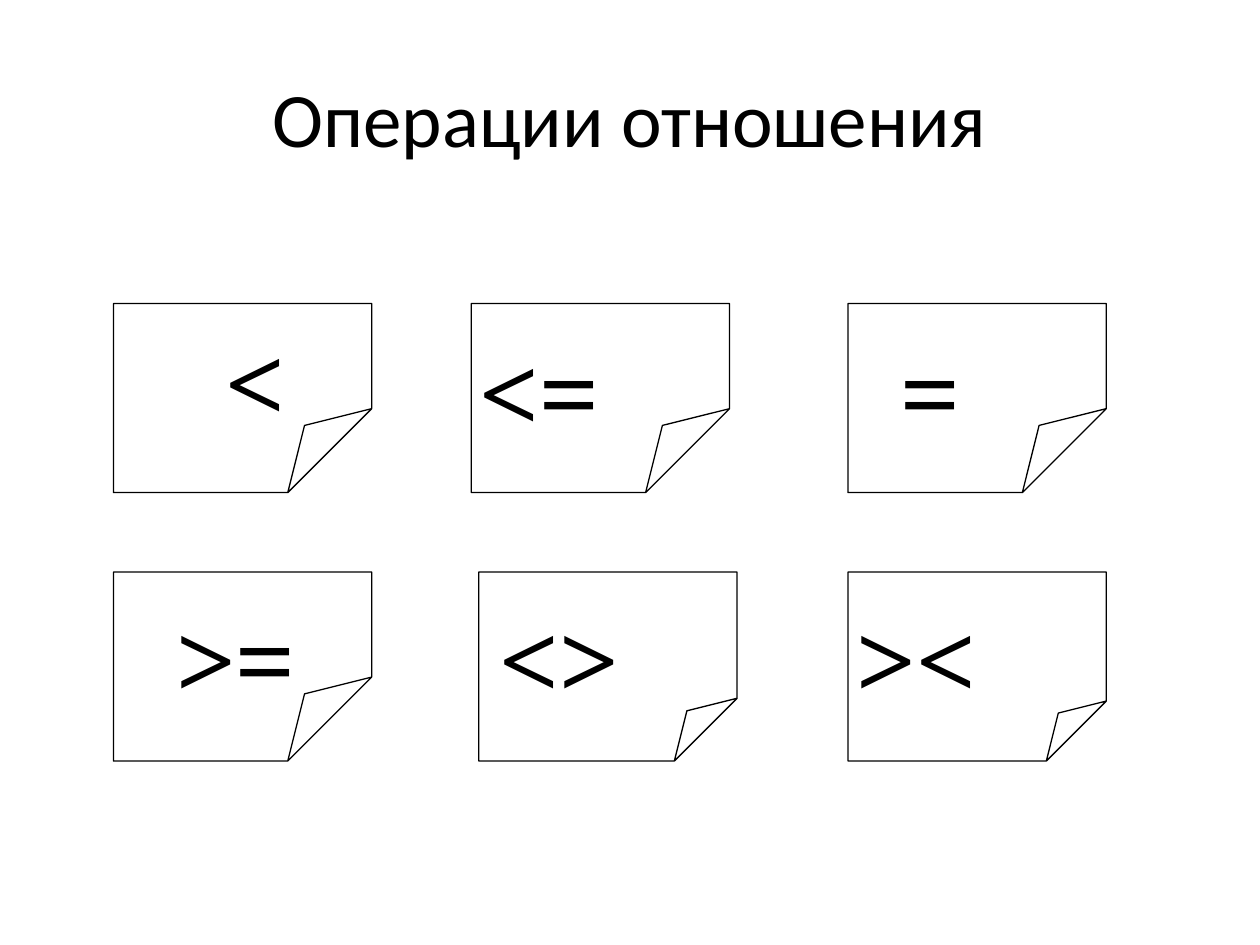
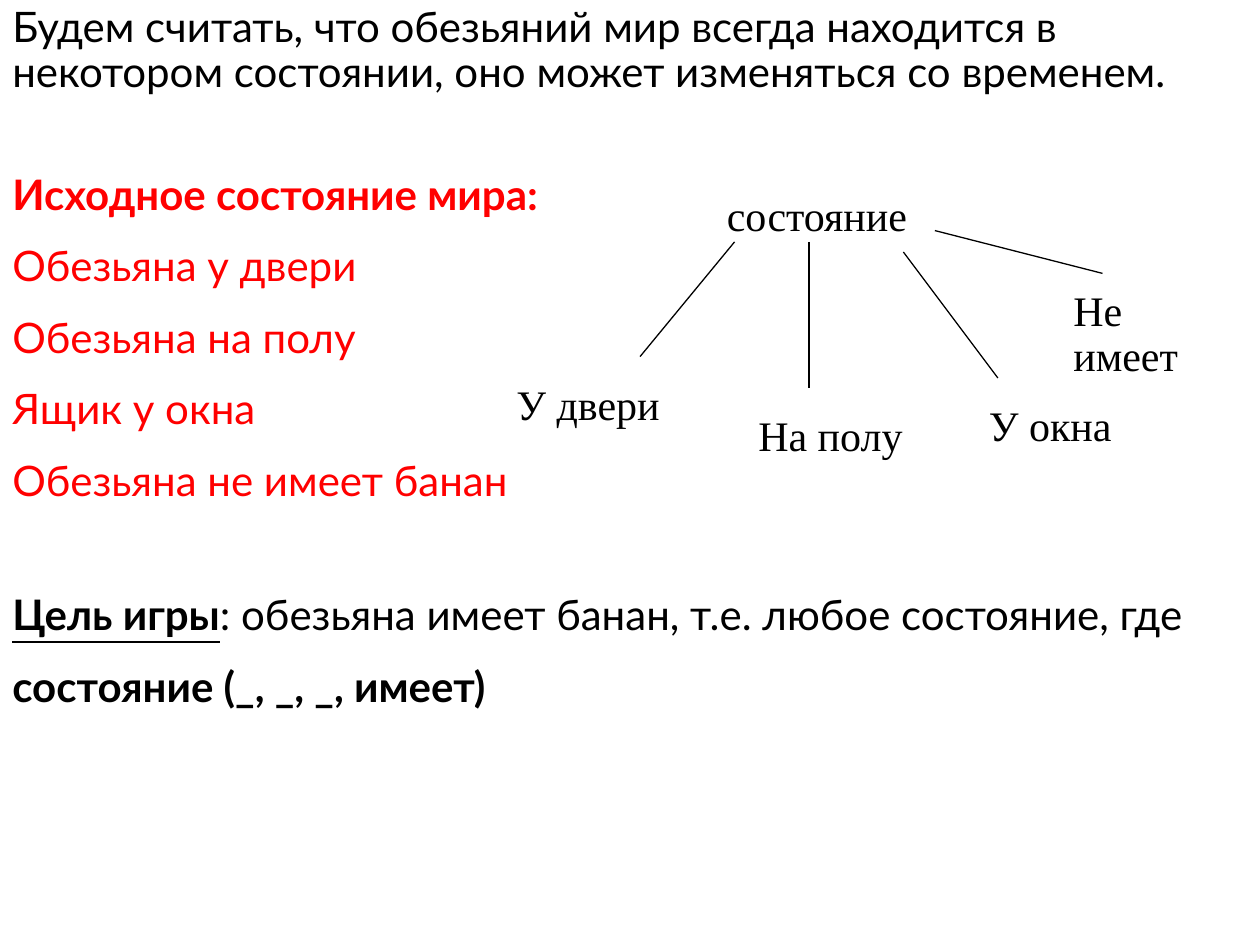
"""Build two slides: relational operators and the monkey world state tree."""
from dataclasses import dataclass

import lxml.etree
import pptx
import pptx.dml.color
import pptx.enum.shapes
import pptx.enum.text
import pptx.oxml.ns
import pptx.slide
import pptx.text.text
import pptx.util
from pptx.util import Inches


@dataclass(frozen=True)
class Theme:
    """Colours, fonts and sizes shared by the slides."""
    ink: str = "000000"
    accent: str = "FF0000"
    paper: str = "FFFFFF"
    title_font: str = "Calibri"
    body_font: str = "Lato"
    label_font: str = "Times New Roman"
    title_size: float = 44
    body_size: float = 24
    symbol_size: float = 60
    line_width: float = 0.74
    line_spacing: float = 0.9
    space_before: float = 15


@dataclass(frozen=True)
class Box:
    """A rectangle in inches."""
    left: float
    top: float
    width: float
    height: float

    def lengths(self) -> list[pptx.util.Length]:
        """Return left, top, width and height as lengths."""
        return [Inches(v) for v in (self.left, self.top, self.width, self.height)]


@dataclass(frozen=True)
class Style:
    """Look of a run of text."""
    font: str
    size: float
    color: str
    bold: bool = False
    underline: bool = False


@dataclass(frozen=True)
class Card:
    """A folded sheet with an operator; fold is a percentage of the height."""
    operator: str
    left: float
    top: float
    fold: float
    symbol: Box


@dataclass(frozen=True)
class Branch:
    """A line of the state tree with the label it leads to."""
    label: str
    start: tuple[float, float]
    end: tuple[float, float]
    box: Box


Line = list[tuple[str, Style]]

THEME = Theme()
TITLE = Style(THEME.title_font, THEME.title_size, THEME.ink)
BODY = Style(THEME.body_font, THEME.body_size, THEME.ink)
BODY_BOLD = Style(THEME.body_font, THEME.body_size, THEME.ink, bold=True)
BODY_KEY = Style(THEME.body_font, THEME.body_size, THEME.ink, bold=True, underline=True)
FACT = Style(THEME.body_font, THEME.body_size, THEME.accent)
FACT_HEAD = Style(THEME.body_font, THEME.body_size, THEME.accent, bold=True)
LABEL = Style(THEME.label_font, THEME.body_size, THEME.ink)
SYMBOL = Style(THEME.label_font, THEME.symbol_size, THEME.ink, bold=True)

CARD_WIDTH, CARD_HEIGHT = 2.05, 1.5
UPPER, LOWER = 2.41, 4.54
FIRST, THIRD = 0.9, 6.73
CARDS = [
    Card("<", FIRST, UPPER, 44.4, Box(1.69, 2.57, 0.48, 1.6)),
    Card("<=", 3.74, UPPER, 44.4, Box(3.71, 2.65, 2.11, 1)),
    Card("=", THIRD, UPPER, 44.4, Box(7.05, 2.65, 1.51, 1)),
    Card(">=", FIRST, LOWER, 44.4, Box(1.3, 4.77, 1.26, 1)),
    Card("<>", 3.8, LOWER, 33.2, Box(3.87, 4.77, 1.9, 1)),
    Card("><", THIRD, LOWER, 31.7, Box(6.7, 4.77, 2.11, 1)),
]

BRANCHES = [
    Branch("У двери", (5.83, 1.92), (5.08, 2.83), Box(4, 3, 1.58, 0.46)),
    Branch("На полу", (6.42, 1.92), (6.42, 3.08), Box(5.92, 3.25, 1.42, 0.46)),
    Branch("У окна", (7.17, 2), (7.92, 3), Box(7.75, 3.17, 1.58, 0.46)),
    Branch("Не имеет", (7.42, 1.83), (8.75, 2.17), Box(8.42, 2.25, 1.33, 0.82)),
]

FACTS = ["Обезьяна у двери", "Обезьяна на полу", "Ящик у окна",
         "Обезьяна не имеет банан"]


def rgb(color: str) -> pptx.dml.color.RGBColor:
    """Turn a hex string into a colour."""
    return pptx.dml.color.RGBColor.from_string(color)


def add_slide(deck) -> pptx.slide.Slide:
    """Add a blank slide with the shared background."""
    slide = deck.slides.add_slide(deck.slide_layouts[6])
    slide.background.fill.solid()
    slide.background.fill.fore_color.rgb = rgb(THEME.paper)
    return slide


def add_run(paragraph, text: str, style: Style) -> None:
    """Append a formatted run to a paragraph."""
    run = paragraph.add_run()
    run.text = text
    run.font.name = style.font
    run.font.size = pptx.util.Pt(style.size)
    run.font.bold = style.bold
    run.font.underline = style.underline
    run.font.color.rgb = rgb(style.color)


def add_text(slide: pptx.slide.Slide, box: Box,
             lines: list[Line]) -> pptx.text.text.TextFrame:
    """Add a wrapping text box with one paragraph per line."""
    frame = slide.shapes.add_textbox(*box.lengths()).text_frame
    frame.word_wrap = True
    for index, line in enumerate(lines):
        paragraph = frame.add_paragraph() if index else frame.paragraphs[0]
        paragraph.line_spacing = THEME.line_spacing
        paragraph.space_before = pptx.util.Pt(THEME.space_before)
        for text, style in line:
            add_run(paragraph, text, style)
    return frame


def add_title(slide: pptx.slide.Slide, text: str) -> None:
    """Add the centred slide title."""
    frame = add_text(slide, Box(0.5, 0.3, 9, 1.25), [[(text, TITLE)]])
    frame.vertical_anchor = pptx.enum.text.MSO_ANCHOR.MIDDLE
    heading = frame.paragraphs[0]
    heading.alignment = pptx.enum.text.PP_ALIGN.CENTER
    heading.line_spacing = 1.0
    heading.space_before = pptx.util.Pt(0)


def set_outline(line) -> None:
    """Give a line the shared colour and width."""
    line.color.rgb = rgb(THEME.ink)
    line.width = pptx.util.Pt(THEME.line_width)


def set_fold(sheet, percent: float) -> None:
    """Set the size of the folded corner, which has no public adjustment."""
    geometry = sheet._element.spPr.find(pptx.oxml.ns.qn("a:prstGeom"))
    guides = geometry.find(pptx.oxml.ns.qn("a:avLst"))
    if guides is None:
        guides = lxml.etree.SubElement(geometry, pptx.oxml.ns.qn("a:avLst"))
    lxml.etree.SubElement(guides, pptx.oxml.ns.qn("a:gd"),
                          name="adj", fmla=f"val {round(percent * 1000)}")


def add_card(slide: pptx.slide.Slide, card: Card) -> None:
    """Draw a folded sheet and its operator."""
    area = Box(card.left, card.top, CARD_WIDTH, CARD_HEIGHT)
    sheet = slide.shapes.add_shape(
        pptx.enum.shapes.MSO_SHAPE.FOLDED_CORNER, *area.lengths())
    set_fold(sheet, card.fold)
    sheet.shadow.inherit = False
    sheet.fill.background()
    set_outline(sheet.line)
    add_text(slide, card.symbol, [[(card.operator, SYMBOL)]])


def add_branch(slide: pptx.slide.Slide, branch: Branch) -> None:
    """Draw a tree line and the label at its end."""
    edge = slide.shapes.add_connector(
        pptx.enum.shapes.MSO_CONNECTOR.STRAIGHT,
        *(Inches(v) for v in branch.start + branch.end))
    set_outline(edge.line)
    lxml.etree.SubElement(edge._element.spPr, pptx.oxml.ns.qn("a:effectLst"))
    add_text(slide, branch.box, [[(branch.label, LABEL)]])


def build_operators(deck) -> None:
    """Build the slide with the relational operators."""
    slide = add_slide(deck)
    add_title(slide, "Операции отношения")
    for card in CARDS:
        add_card(slide, card)


def build_world_state(deck) -> None:
    """Build the slide with the monkey world and its state tree."""
    slide = add_slide(deck)
    add_text(slide, Box(0, 0, 10, 1.18), [[(
        "Будем считать, что обезьяний мир всегда находится в некотором "
        "состоянии, оно может изменяться со временем.", BODY)]])
    add_text(slide, Box(0, 1.33, 10, 2.74),
             [[("Исходное состояние мира:", FACT_HEAD)]]
             + [[(fact, FACT)] for fact in FACTS])
    add_text(slide, Box(0, 4.67, 10, 1.39), [
        [("Цель игры", BODY_KEY),
         (": обезьяна имеет банан, т.е. любое состояние, где", BODY)],
        [("состояние (_, _, _, имеет)", BODY_BOLD)],
    ])
    add_text(slide, Box(5.67, 1.5, 3.58, 0.46), [[("состояние", LABEL)]])
    for branch in BRANCHES:
        add_branch(slide, branch)


def main() -> None:
    """Build and save the deck."""
    deck = pptx.Presentation()
    deck.slide_width, deck.slide_height = Inches(10), Inches(7.5)
    build_operators(deck)
    build_world_state(deck)
    deck.save("out.pptx")


main()
